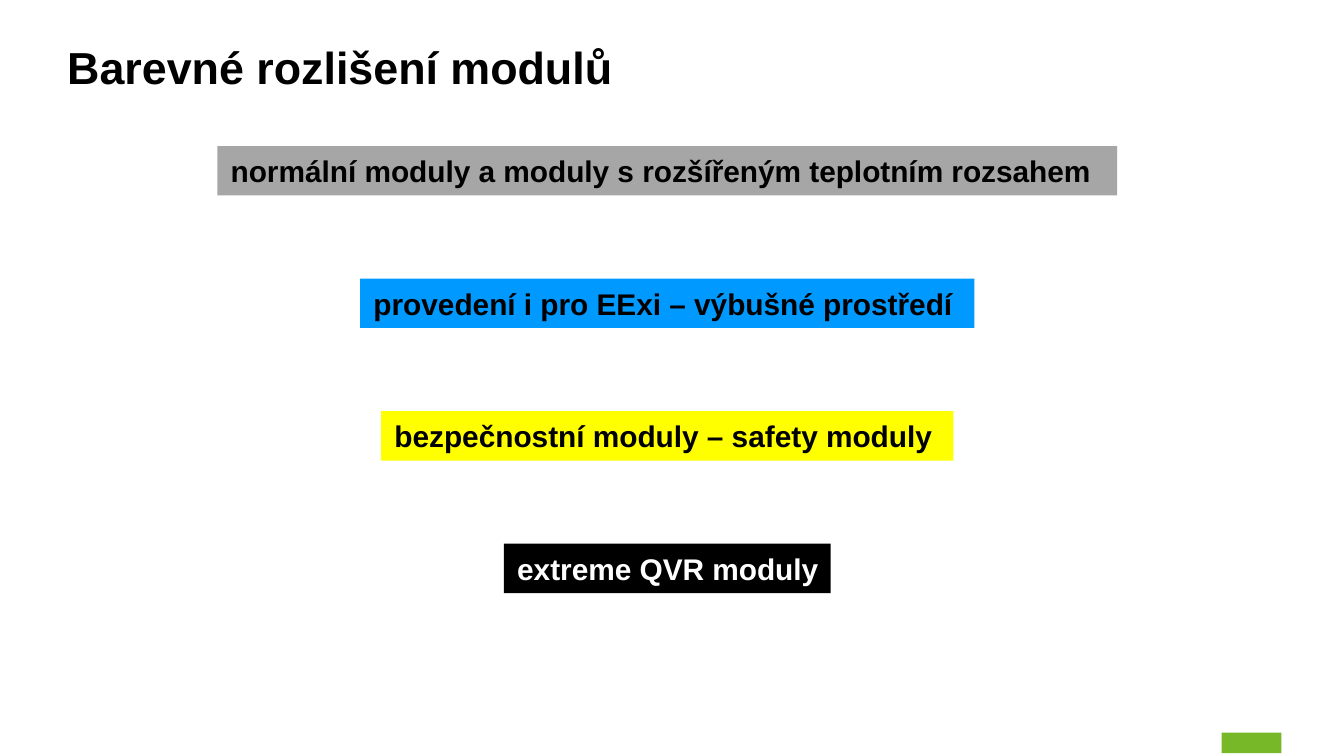
from pptx import Presentation
from pptx.dml.color import RGBColor
from pptx.enum import shapes, text
from pptx.util import Pt

COLORS = {
    "black": "000000",
    "white": "FFFFFF",
    "grey": "A6A6A6",
    "blue": "0099FF",
    "yellow": "FFFF00",
    "green": "76B828",
}

# wording, bar width, fill, text colour
MODULE_TYPES = [
    ("normální moduly a moduly s rozšířeným teplotním rozsahem", 482, "grey", "black"),
    ("provedení i pro EExi – výbušné prostředí", 329, "blue", "black"),
    ("bezpečnostní moduly – safety moduly", 306.5, "yellow", "black"),
    ("extreme QVR moduly", 175, "black", "white"),
]


def rgb(name):
    return RGBColor.from_string(COLORS[name])


def write(frame, wording, *, size, color="black", insets=(0, 0, 0, 0),
          anchor=text.MSO_ANCHOR.TOP):
    """Fill a text frame with one bold line; insets are left, top, right, bottom."""
    frame.word_wrap = True
    frame.auto_size = text.MSO_AUTO_SIZE.NONE
    frame.vertical_anchor = anchor
    frame.margin_left, frame.margin_top, frame.margin_right, frame.margin_bottom = map(Pt, insets)
    paragraph = frame.paragraphs[0]
    paragraph.alignment = text.PP_ALIGN.LEFT
    run = paragraph.add_run()
    run.text = wording
    run.font.name = "Arial"
    run.font.size = Pt(size)
    run.font.bold = True
    run.font.color.rgb = rgb(color)


def add_block(slide, left, top, width, height, fill):
    block = slide.shapes.add_shape(
        shapes.MSO_SHAPE.RECTANGLE, Pt(left), Pt(top), Pt(width), Pt(height))
    block.shadow.inherit = False
    block.fill.solid()
    block.fill.fore_color.rgb = rgb(fill)
    block.line.fill.background()
    return block


def place_title(slide, left, top, width, height):
    title = slide.shapes.title
    title.left, title.top, title.width, title.height = map(Pt, (left, top, width, height))
    write(title.text_frame, "Barevné rozlišení modulů", size=24)


def add_module_bars(slide, left, top, width, height, bar_height=26.5):
    """Spread centred bars evenly from the top to the bottom of the box."""
    pitch = (height - bar_height) / (len(MODULE_TYPES) - 1)
    for row, (wording, bar_width, fill, color) in enumerate(MODULE_TYPES):
        bar = add_block(slide, left + (width - bar_width) / 2, top + row * pitch,
                        bar_width, bar_height, fill)
        write(bar.text_frame, wording, size=16, color=color,
              insets=(7.2, 3.6, 0, 3.6), anchor=text.MSO_ANCHOR.MIDDLE)


def main():
    presentation = Presentation()
    presentation.slide_width, presentation.slide_height = Pt(720), Pt(405)
    slide = presentation.slides.add_slide(presentation.slide_layouts[5])
    add_block(slide, 654.5, 392.5, 32, 11, "green")
    place_title(slide, 36, 21, 648, 25)
    add_module_bars(slide, 116.5, 78.25, 482, 239.5)
    presentation.save("out.pptx")


if __name__ == "__main__":
    main()
